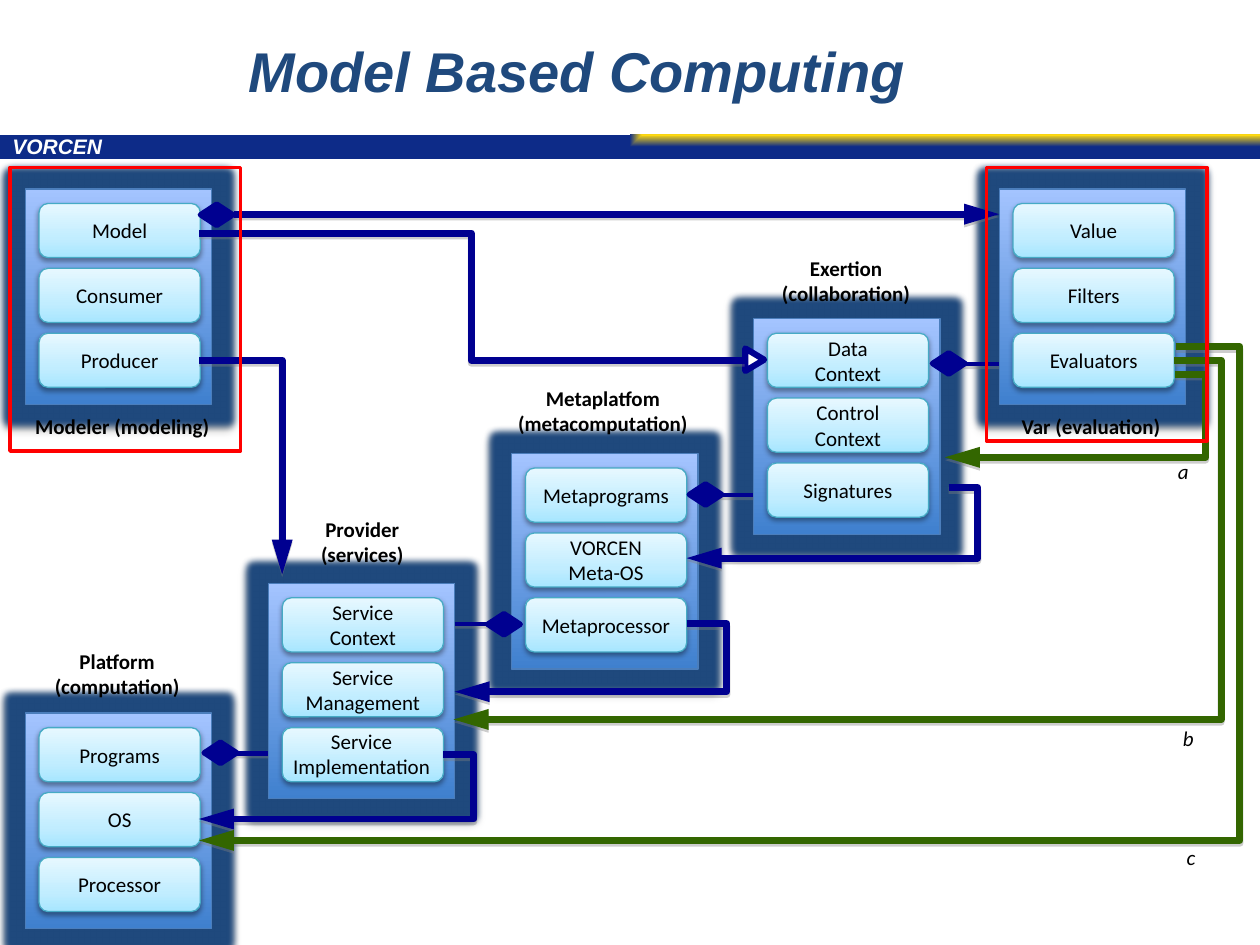
from pptx import Presentation
from pptx.dml.color import RGBColor
from pptx.enum.shapes import MSO_CONNECTOR, MSO_SHAPE
from pptx.enum.text import MSO_ANCHOR, PP_ALIGN
from pptx.oxml import parse_xml
from pptx.oxml.ns import nsdecls, qn
from pptx.util import Cm, Pt

NAVY, GREEN, RED = "000090", "336600", "FF0000"
PANEL_STOPS = [(0, "3F80CE"), (100, "A4C4FF")]
BUTTON_STOPS = [(0, "A7E6FF"), (35, "C1EDFF"), (100, "E7F8FF")]
UPWARD = '<a:lin ang="16200000" scaled="0"/>'
FROM_TOP_RIGHT = '<a:path path="rect"><a:fillToRect l="100000" b="100000"/></a:path>'
PANEL_W, PANEL_H = 1.48, 1.71
BUTTON_W, BUTTON_H, BUTTON_STEP = 1.28, 0.43, 0.515
GLOW_SIZE = 8


def cm(inches):
    return Cm(inches * 2.54)


def rgb(code):
    return RGBColor.from_string(code)


def set_gradient(sp, stops, direction):
    spPr = sp._element.spPr
    spPr.remove(spPr.find(qn("a:noFill")))
    gs = "".join(f'<a:gs pos="{pos * 1000}"><a:srgbClr val="{c}"/></a:gs>' for pos, c in stops)
    grad = parse_xml(f'<a:gradFill {nsdecls("a")} rotWithShape="1">'
                     f'<a:gsLst>{gs}</a:gsLst>{direction}</a:gradFill>')
    spPr.find(qn("a:prstGeom")).addnext(grad)


def set_effects(sp, color, alpha, blur, dist, glow=""):
    spPr = sp._element.spPr
    for old in spPr.findall(qn("a:effectLst")):
        spPr.remove(old)
    spPr.append(parse_xml(
        f'<a:effectLst {nsdecls("a")}>{glow}<a:outerShdw blurRad="{Pt(blur)}" dist="{Pt(dist)}" '
        f'dir="5400000" rotWithShape="0"><a:srgbClr val="{color}"><a:alpha val="{alpha * 1000}"/>'
        '</a:srgbClr></a:outerShdw></a:effectLst>'))


def add_box(s, kind, box, fill=None, line=None, width=0.75):
    sp = s.shapes.add_shape(kind, *map(cm, box))
    sp.shadow.inherit = False
    if fill:
        sp.fill.solid()
        sp.fill.fore_color.rgb = rgb(fill)
    else:
        sp.fill.background()
    if line:
        sp.line.color.rgb = rgb(line)
        sp.line.width = Pt(width)
    else:
        sp.line.fill.background()
    return sp


def format_text(tf, text, size=12, color="000000", bold=False, italic=False,
                font="Calibri", align=PP_ALIGN.CENTER):
    tf.text = text
    for p in tf.paragraphs:
        p.alignment = align
        for r in p.runs:
            r.font.name, r.font.size = font, Pt(size)
            r.font.bold, r.font.italic = bold, italic
            r.font.color.rgb = rgb(color)


def add_label(s, box, text, wrap=True, **style):
    tf = s.shapes.add_textbox(*map(cm, box)).text_frame
    tf.word_wrap = wrap
    format_text(tf, text, **style)
    return tf


def add_panel(s, left, top, items):
    # Glowing panel
    panel = add_box(s, MSO_SHAPE.RECTANGLE, (left, top, PANEL_W, PANEL_H), line="4B7EBC")
    set_gradient(panel, PANEL_STOPS, UPWARD)
    glow = f'<a:glow rad="{Pt(GLOW_SIZE)}"><a:srgbClr val="1F497D"/></a:glow>'
    set_effects(panel, "000000", 35, 3.1, 1.8, glow)
    # Stacked buttons
    for i, text in enumerate(items):
        box = (left + 0.11, top + 0.115 + i * BUTTON_STEP, BUTTON_W, BUTTON_H)
        sp = add_box(s, MSO_SHAPE.ROUNDED_RECTANGLE, box, line="46AAC5")
        set_gradient(sp, BUTTON_STOPS, UPWARD)
        set_effects(sp, "000000", 38, 3.1, 1.6)
        sp.text_frame.word_wrap = True
        sp.text_frame.vertical_anchor = MSO_ANCHOR.MIDDLE
        if text:
            format_text(sp.text_frame, text)


def add_link(s, start, end, color=NAVY, width=4, arrow=True, bend_x=None, corner=False):
    bent = corner or bend_x is not None
    kind = MSO_CONNECTOR.ELBOW if bent else MSO_CONNECTOR.STRAIGHT
    cx = s.shapes.add_connector(kind, *map(cm, start + end))
    cx.line.color.rgb = rgb(color)
    cx.line.width = Pt(width)
    geom = cx._element.spPr.find(qn("a:prstGeom"))
    if corner:
        geom.set("prst", "bentConnector2")
    elif bent:
        adj = round((bend_x - start[0]) / (end[0] - start[0]) * 100000)
        for old in list(geom):
            geom.remove(old)
        geom.append(parse_xml(f'<a:avLst {nsdecls("a")}><a:gd name="adj1" fmla="val {adj}"/></a:avLst>'))
    if arrow:
        cx.line._get_or_add_ln().append(
            parse_xml(f'<a:tailEnd {nsdecls("a")} type="triangle" w="med" len="lg"/>'))
    set_effects(cx, "808080", 38, 0, 1.6)


def add_header(s):
    # Title, gradient band and band name
    title = s.shapes.title
    title.left, title.top, title.width, title.height = map(cm, (1.08, 0.02, 7, 1.07))
    title.text_frame.vertical_anchor = MSO_ANCHOR.MIDDLE
    format_text(title.text_frame, "Model Based Computing", 32, "1F497D", True, True, "Arial")
    band = add_box(s, MSO_SHAPE.RECTANGLE, (0, 1.07, 10, 0.19))
    set_gradient(band, [(0, "FED910"), (100, "0D2B88")], FROM_TOP_RIGHT)
    tf = add_label(s, (0, 1.05, 5.5, 0.26), "VORCEN", color="FFFFFF", bold=True,
                   italic=True, font="Arial", align=PP_ALIGN.LEFT)
    tf.paragraphs[0].line_spacing = 0.8


def add_stations(s):
    # left, top, buttons, label box, label
    stations = [
        (2.13, 4.63, ["Service Context", "Service\nManagement", ""],
         (2.23, 4.05, 1.29, 0.51), "Provider\n(services)"),
        (4.06, 3.6, ["Metaprograms", "VORCEN\vMeta-OS", "Metaprocessor"],
         (3.98, 3.01, 1.61, 0.5), "Metaplatfom\n(metacomputation)"),
        (5.98, 2.53, ["Data\vContext", "Control\vContext", "Signatures"],
         (6.08, 1.98, 1.27, 0.51), "Exertion\n(collaboration)"),
        (7.93, 1.5, ["Value", "Filters", "Evaluators"],
         (7.91, 3.23, 1.5, 0.3), "Var (evaluation)"),
        (0.2, 5.66, ["Programs", "OS", "Processor"],
         (0.25, 5.1, 1.36, 0.5), "Platform\n(computation)"),
        (0.2, 1.5, ["Model", "Consumer", "Producer"],
         (0.12, 3.23, 1.7, 0.3), "Modeler (modeling)"),
    ]
    for left, top, items, _, _ in stations:
        add_panel(s, left, top, items)
    for _, _, _, box, text in stations:
        add_label(s, box, text, bold=True)
    # This caption is wider than its button
    add_label(s, (2.21, 5.73, 1.32, 0.5), "Service\vImplementation")


def add_links(s):
    # Thin links from panels to diamonds
    for x, y in [(7.51, 2.89), (5.56, 3.93), (3.61, 4.95), (1.71, 5.98)]:
        add_link(s, (x, y), (x + 0.42, y), width=2.5, arrow=False)
    # Bent arrows between neighbours
    for start, end, bend_x in [((7.53, 3.87), (5.45, 4.43), 7.76),
                               ((5.45, 4.95), (3.61, 5.49), 5.77),
                               ((3.52, 5.99), (1.58, 6.5), 3.76)]:
        add_link(s, start, end, bend_x=bend_x)
    # Evaluator arrows with their letters
    for start, end, bend_x, letter, spot in [
            ((9.33, 2.97), (7.5, 3.63), 9.57, "a", (9.25, 3.59)),
            ((9.32, 2.86), (3.6, 5.71), 9.69, "b", (9.29, 5.71)),
            ((9.33, 2.75), (1.58, 6.67), 9.84, "c", (9.32, 6.65))]:
        add_link(s, start, end, GREEN, bend_x=bend_x)
        add_label(s, spot + (0.34, 0.3), letter, wrap=False, italic=True, align=PP_ALIGN.LEFT)
    # Modeler links
    head = add_box(s, MSO_SHAPE.ISOSCELES_TRIANGLE, (5.9, 2.78, 0.18, 0.15), "FFFFFF", NAVY, 3.5)
    head.rotation = 90
    add_link(s, (1.58, 1.85), (5.91, 2.86), arrow=False, bend_x=3.74)
    add_link(s, (1.86, 1.7), (7.93, 1.7))
    add_link(s, (1.58, 2.86), (2.24, 4.56), corner=True)
    # Diamonds
    for x, y in [(1.62, 5.89), (3.87, 4.87), (5.47, 3.84), (7.4, 2.8), (1.59, 1.62)]:
        add_box(s, MSO_SHAPE.FLOWCHART_DECISION, (x, y, 0.26, 0.17), NAVY, NAVY, 3)


def main():
    prs = Presentation()
    prs.slide_width, prs.slide_height = cm(10), cm(7.5)
    s = prs.slides.add_slide(prs.slide_layouts[5])
    add_stations(s)
    add_header(s)
    add_links(s)
    # Red frames
    for box in [(7.83, 1.33, 1.75, 2.17), (0.08, 1.33, 1.83, 2.25)]:
        add_box(s, MSO_SHAPE.RECTANGLE, box, line=RED, width=2)
    prs.save("out.pptx")


if __name__ == "__main__":
    main()
